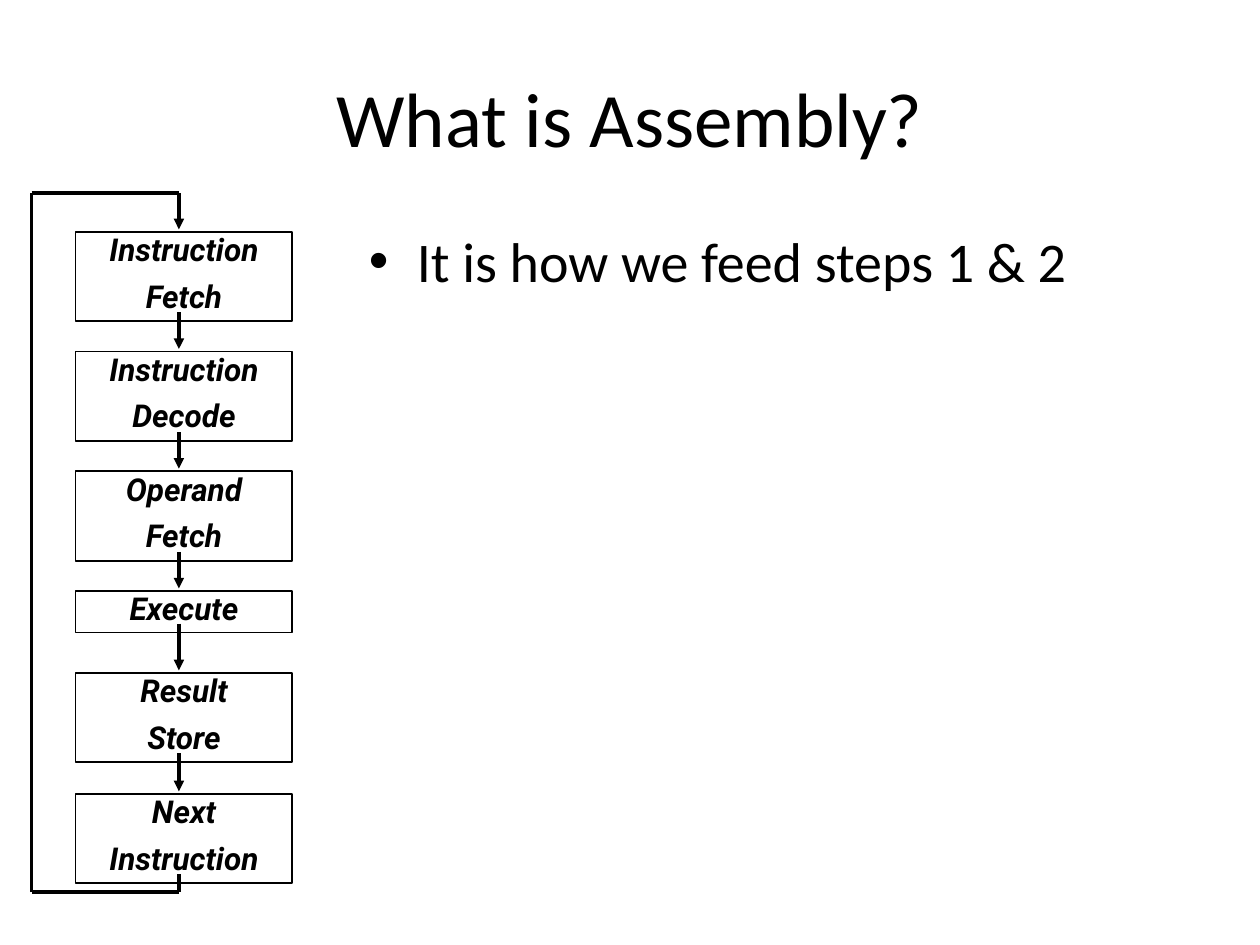
from lxml import etree
from pptx import Presentation
from pptx import util as u
from pptx.dml.color import RGBColor
from pptx.enum import shapes, text
from pptx.oxml import ns

COLORS = {"ink": "000000"}
STEPS = [
    (1.84, ("Instruction", "Fetch")),
    (2.79, ("Instruction", "Decode")),
    (3.74, ("Operand", "Fetch")),
    (4.69, ("Execute",)),
    (5.34, ("Result", "Store")),
    (6.30, ("Next", "Instruction")),
]
HEIGHTS = {1: 0.33, 2: 0.71}
OVERLAP = 0.07  # how far an arrow starts inside its box
ARROW_GAP = 0.02  # space between an arrow tip and the next box


def ink():
    """Return the colour of text and lines."""
    return RGBColor.from_string(COLORS["ink"])


def style_runs(paragraph, font, size, strong=False):
    """Give every run of a paragraph its font."""
    for run in paragraph.runs:
        run.font.name = font
        run.font.size = u.Pt(size)
        run.font.bold = run.font.italic = strong
        run.font.color.rgb = ink()


def add_title(slide, left, top, width, height):
    """Place and fill the title placeholder."""
    title = slide.shapes.title
    title.left, title.top = u.Inches(left), u.Inches(top)
    title.width, title.height = u.Inches(width), u.Inches(height)
    title.text_frame.text = "What is Assembly?"
    title.text_frame.vertical_anchor = text.MSO_ANCHOR.MIDDLE
    heading = title.text_frame.paragraphs[0]
    heading.alignment = text.PP_ALIGN.CENTER
    style_runs(heading, "Calibri", 44)


def add_answer(slide, left, top, width, height):
    """Add the bulleted answer beside the cycle."""
    answer = slide.shapes.add_textbox(*map(u.Inches, (left, top, width, height)))
    answer.text_frame.word_wrap = True
    answer.text_frame.text = "It is how we feed steps 1 & 2"
    point = answer.text_frame.paragraphs[0]
    point.space_before = u.Pt(6.4)
    style_runs(point, "Calibri", 32)
    properties = point._p.get_or_add_pPr()
    properties.set("marL", str(u.Inches(0.38)))
    properties.set("indent", str(u.Inches(-0.38)))
    etree.SubElement(properties, ns.qn("a:buFont"), typeface="Arial")
    etree.SubElement(properties, ns.qn("a:buChar"), char="•")


def add_step(slide, left, top, width, words):
    """Add one outlined step, one paragraph per word."""
    step = slide.shapes.add_shape(
        shapes.MSO_SHAPE.RECTANGLE,
        *map(u.Inches, (left, top, width, HEIGHTS[len(words)])))
    step.shadow.inherit = False
    step.fill.background()
    step.line.color.rgb = ink()
    step.line.width = u.Pt(1)
    frame = step.text_frame
    frame.word_wrap = True
    frame.vertical_anchor = text.MSO_ANCHOR.TOP
    frame.margin_left = frame.margin_right = u.Inches(0.07)
    frame.margin_top = frame.margin_bottom = u.Inches(0.03)
    frame.text = "\n".join(words)
    for paragraph in frame.paragraphs:
        paragraph.alignment = text.PP_ALIGN.CENTER
        paragraph.line_spacing = 0.86
        paragraph.space_before = u.Pt(8)
        style_runs(paragraph, "Roboto", 18, strong=True)


def add_flow(slide, start, end, arrow=False):
    """Draw a flow line, with an arrowhead at its end if wanted."""
    flow = slide.shapes.add_connector(
        shapes.MSO_CONNECTOR.STRAIGHT, *map(u.Inches, (*start, *end)))
    flow.line.color.rgb = ink()
    flow.line.width = u.Pt(2)
    if arrow:
        etree.SubElement(flow.line._get_or_add_ln(), ns.qn("a:tailEnd"), type="triangle")
    etree.SubElement(flow._element.spPr, ns.qn("a:effectLst"))


def add_cycle(slide, left, top, width, height):
    """Add the steps, the arrows between them and the loop back."""
    box_left, box_width = left + 0.35, width - 0.35
    axis, bottom = left + 1.17, top + height
    for step_top, words in STEPS:
        add_step(slide, box_left, step_top, box_width, words)
    exits = [step_top + HEIGHTS[len(words)] - OVERLAP for step_top, words in STEPS]
    for leave, (next_top, _) in zip(exits, STEPS[1:]):
        add_flow(slide, (axis, leave), (axis, next_top - ARROW_GAP), arrow=True)
    loop = [(axis, exits[-1]), (axis, bottom), (left, bottom), (left, top),
            (axis, top), (axis, STEPS[0][0] - ARROW_GAP)]
    for index, (start, end) in enumerate(zip(loop, loop[1:])):
        add_flow(slide, start, end, arrow=index == len(loop) - 2)


def main():
    """Build the slide and save it."""
    deck = Presentation()
    deck.slide_width, deck.slide_height = u.Inches(10), u.Inches(7.5)
    slide = deck.slides.add_slide(deck.slide_layouts[5])
    add_title(slide, 0.5, 0.3, 9, 1.25)
    add_answer(slide, 2.83, 1.75, 6.67, 4.95)
    add_cycle(slide, 0.25, 1.53, 2.07, 5.55)
    deck.save("out.pptx")


main()
